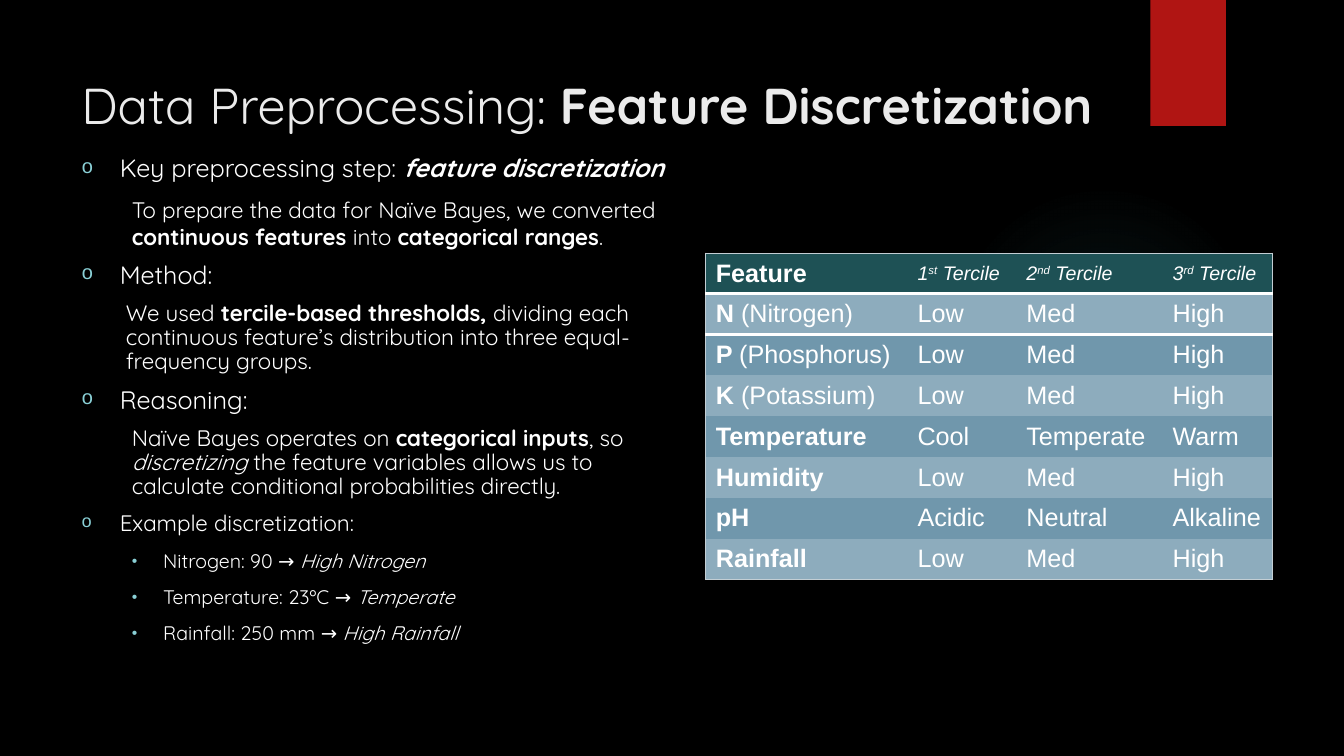
from dataclasses import dataclass

from lxml import etree
from pptx import Presentation
from pptx.dml.color import RGBColor
from pptx.enum.shapes import MSO_SHAPE
from pptx.enum.text import MSO_ANCHOR
from pptx.oxml import parse_xml
from pptx.oxml.ns import qn
from pptx.util import Inches, Pt

RECT, OVAL = MSO_SHAPE.RECTANGLE, MSO_SHAPE.OVAL
TOP, MIDDLE = MSO_ANCHOR.TOP, MSO_ANCHOR.MIDDLE
NS = "http://schemas.openxmlformats.org/drawingml/2006/main"
PLAIN = "{2D5ABB26-0587-4C30-8999-92F81FD0307C}"


@dataclass(frozen=True)
class Theme:
    """Colours, fonts and type sizes of the slide."""
    back: str = "000000"
    title: str = "EBEBEB"
    text: str = "FFFFFF"
    mark: str = "8AD0D6"
    flag: str = "B01513"
    glow: str = "50B9C1"
    head: str = "1E5155"
    light: str = "8DACBD"
    dark: str = "7097AC"
    edge: str = "C3CED4"
    sans: str = "Quicksand"
    grid: str = "Arial"
    huge: int = 36
    large: int = 18
    mid: int = 16
    small: int = 14


T = Theme()

HEAD, NOTE, ITEM = (0.38, -0.38, "o"), (0.5, 0, None), (0.81, -0.31, "•")
SLIM = (0.44, 0, None)
BODY = [
    (HEAD, T.large, 0.9, [("Key preprocessing step:\u00a0", ""), ("feature discretization", "bi")]),
    (NOTE, T.mid, 1.0, [("To prepare the data for Naïve Bayes, we converted ", ""),
                        ("continuous features ", "b"), ("into ", ""),
                        ("categorical ranges", "b"), (".", "")]),
    (HEAD, T.large, 0.9, [("Method:", "")]),
    (SLIM, T.mid, 0.9, [("We used ", ""), ("tercile-based thresholds, ", "b"),
                        ("dividing each continuous feature’s distribution into "
                         "three equal-frequency groups.", "")]),
    (HEAD, T.large, 0.9, [("Reasoning:", "")]),
    (NOTE, T.mid, 0.9, [("Naïve Bayes operates on ", ""), ("categorical inputs", "b"),
                        (", so ", ""), ("discretizing ", "i"),
                        ("the feature variables allows us to calculate "
                         "conditional probabilities directly.", "")]),
    (HEAD, T.mid, 0.9, [("Example discretization:", "")]),
    (ITEM, T.small, 1.0, [("Nitrogen: 90 → ", ""), ("High Nitrogen", "i")]),
    (ITEM, T.small, 1.0, [("Temperature: 23ºC → ", ""), ("Temperate", "i")]),
    (ITEM, T.small, 1.0, [("Rainfall: 250 mm → ", ""), ("High Rainfall", "i")]),
]

LEVELS = ("Low", "Med", "High")
ROWS = [
    ("N ", "(Nitrogen)", LEVELS),
    ("P ", "(Phosphorus)", LEVELS),
    ("K ", "(Potassium)", LEVELS),
    ("Temperature", "", ("Cool", "Temperate", "Warm")),
    ("Humidity", "", LEVELS),
    ("pH", "", ("Acidic", "Neutral", "Alkaline")),
    ("Rainfall", "", LEVELS),
]
TERCILES = [[(num, "i"), (end, "is"), (" Tercile", "i")]
            for num, end in (("1", "st"), ("2", "nd"), ("3", "rd"))]
COLS = (2, 1.08, 1.45, 1.09)


def rgb(code):
    """Return a colour from its hex code."""
    return RGBColor.from_string(code)


def write(para, runs, size, face, color):
    """Fill a paragraph with runs marked b, i or s (raised)."""
    font = para.font
    font.size, font.name = Pt(size), face
    font.color.rgb = rgb(color)
    for text, style in runs:
        run = para.add_run()
        run.text = text
        if "b" in style:
            run.font.bold = True
        if "i" in style:
            run.font.italic = True
        if "s" in style:
            run.font._element.set("baseline", "30000")


def indent(para, left, first, mark):
    """Set the indent and the bullet of a paragraph."""
    props = para._p.get_or_add_pPr()
    props.set("marL", str(Inches(left)))
    props.set("indent", str(Inches(first)))
    if mark is None:
        etree.SubElement(props, qn("a:buNone"))
        return
    color = etree.SubElement(props, qn("a:buClr"))
    etree.SubElement(color, qn("a:srgbClr"), val=T.mark)
    etree.SubElement(props, qn("a:buSzPct"), val="80000")
    face = "Courier New" if mark == "o" else "Arial"
    etree.SubElement(props, qn("a:buFont"), typeface=face)
    etree.SubElement(props, qn("a:buChar"), char=mark)


def frame(slide, left, top, width, height):
    """Add a wrapping text box and return its text frame."""
    box = slide.shapes.add_textbox(Inches(left), Inches(top), Inches(width), Inches(height))
    box.text_frame.word_wrap = True
    box.text_frame.vertical_anchor = TOP
    return box.text_frame


def block(slide, kind, left, top, width, height, color):
    """Add a plain filled shape without outline."""
    shape = slide.shapes.add_shape(kind, Inches(left), Inches(top), Inches(width), Inches(height))
    shape.shadow.inherit = False
    shape.fill.solid()
    shape.fill.fore_color.rgb = rgb(color)
    shape.line.fill.background()
    return shape


def fade(shape, color, stops):
    """Replace the fill of a shape with a see-through radial gradient."""
    parts = "".join(
        f'<a:gs pos="{pos * 1000}"><a:srgbClr val="{color}">'
        f'<a:alpha val="{alpha * 1000}"/></a:srgbClr></a:gs>' for pos, alpha in stops)
    grad = parse_xml(
        f'<a:gradFill xmlns:a="{NS}"><a:gsLst>{parts}</a:gsLst><a:path path="circle">'
        '<a:fillToRect l="50000" t="50000" r="50000" b="50000"/></a:path></a:gradFill>')
    solid = shape.element.spPr.find(qn("a:solidFill"))
    solid.getparent().replace(solid, grad)


def border(cell, side, color, width):
    """Draw one border of a cell."""
    line = etree.SubElement(cell._tc.get_or_add_tcPr(), qn(f"a:ln{side}"), w=str(Pt(width)))
    fill = etree.SubElement(line, qn("a:solidFill"))
    etree.SubElement(fill, qn("a:srgbClr"), val=color)


def edges(cell, row, col):
    """Draw the table outline and the rule under the header."""
    if col == 0:
        border(cell, "L", T.edge, 0.75)
    if col == len(COLS) - 1:
        border(cell, "R", T.edge, 0.75)
    if row == 0:
        border(cell, "T", T.edge, 0.75)
        border(cell, "B", T.text, 2.25)
    if row == 1:
        border(cell, "T", T.text, 2.25)
    if row == len(ROWS):
        border(cell, "B", T.edge, 0.75)


def ranges(slide):
    """Add the table of features and their terciles."""
    lines = [[[("Feature", "b")]] + TERCILES]
    for name, note, levels in ROWS:
        first = [(name, "b")] + ([(note, "")] if note else [])
        lines.append([first] + [[(level, "")] for level in levels])
    shape = slide.shapes.add_table(len(lines), len(COLS), Inches(7), Inches(2.51),
                                   Inches(sum(COLS)), Inches(3.24))
    shape.element.find(".//" + qn("a:tableStyleId")).text = PLAIN
    table = shape.table
    for col, width in enumerate(COLS):
        table.columns[col].width = Inches(width)
    for row, line in enumerate(lines):
        shade = T.head if row == 0 else (T.dark, T.light)[row % 2]
        for col, runs in enumerate(line):
            cell = table.cell(row, col)
            edges(cell, row, col)
            cell.fill.solid()
            cell.fill.fore_color.rgb = rgb(shade)
            cell.vertical_anchor = MIDDLE
            size = T.small if row == 0 and col else T.large
            write(cell.text_frame.paragraphs[0], runs, size, T.grid, T.text)


def points(slide):
    """Add the bulleted text on the left."""
    text = frame(slide, 0.71, 1.5, 6.12, 5.63)
    for row, (style, size, space, runs) in enumerate(BODY):
        para = text.add_paragraph() if row else text.paragraphs[0]
        indent(para, *style)
        para.line_spacing = space
        para.space_before = Pt(9 if row else 0)
        write(para, runs, size, T.sans, T.text)


def main():
    """Build the slide and save it."""
    deck = Presentation()
    deck.slide_width, deck.slide_height = Inches(13.33), Inches(7.5)
    slide = deck.slides.add_slide(deck.slide_layouts[6])
    slide.background.fill.solid()
    slide.background.fill.fore_color.rgb = rgb(T.back)
    glow = block(slide, OVAL, 9.41, 1.83, 3.08, 3.08, T.glow)
    fade(glow, T.glow, [(0, 7), (36, 6), (69, 0)])
    block(slide, RECT, 11.41, 0, 0.75, 1.25, T.flag)
    title = frame(slide, 0.71, 0.69, 11.77, 1.34).paragraphs[0]
    write(title, [("Data Preprocessing: ", ""), ("Feature Discretization", "b")],
          T.huge, T.sans, T.title)
    points(slide)
    ranges(slide)
    deck.save("out.pptx")


if __name__ == "__main__":
    main()
